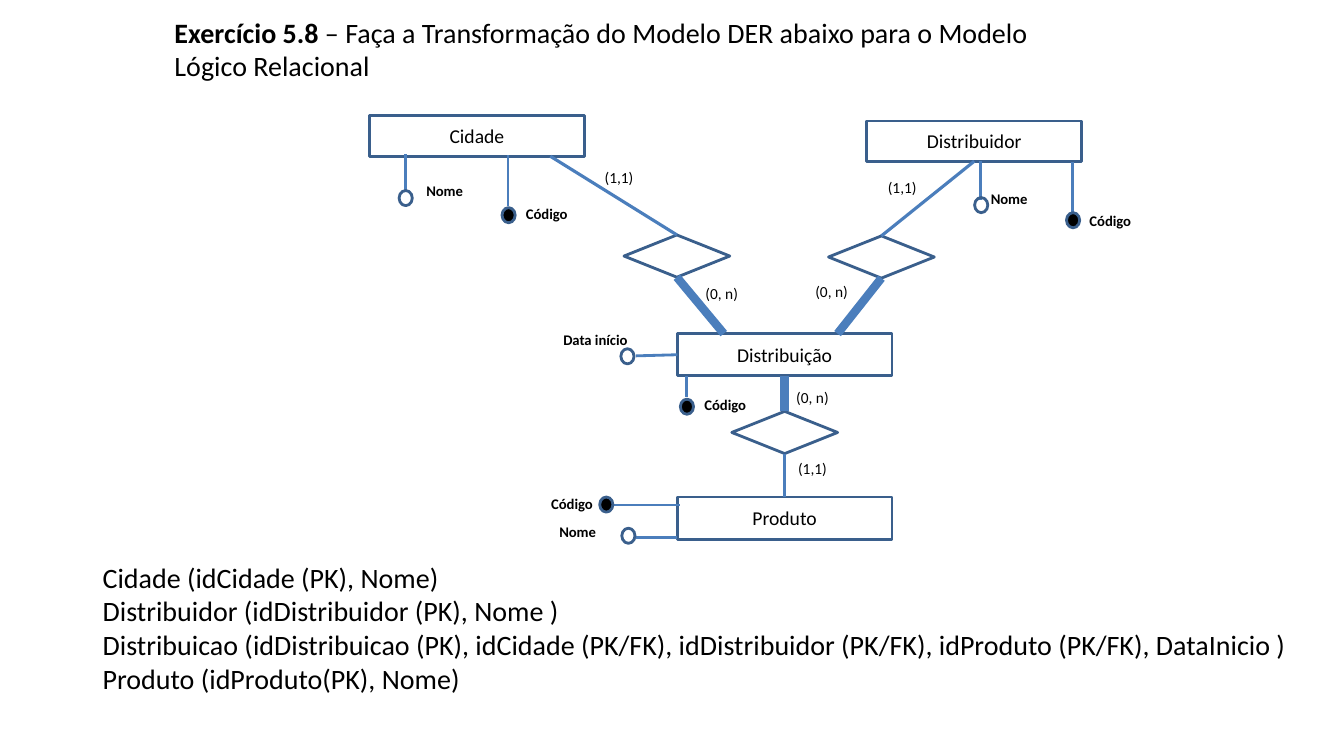
from collections import namedtuple
from pptx import Presentation
from pptx.dml.color import RGBColor
from pptx.enum.shapes import MSO_CONNECTOR as Connector, MSO_SHAPE as Shape
from pptx.enum.text import MSO_ANCHOR as Anchor, MSO_AUTO_SIZE as AutoSize, PP_ALIGN as Align
from pptx.oxml.ns import qn
from pptx.util import Pt
from lxml import etree

Box = namedtuple("Box", "left top width height")

BLACK = RGBColor(0x00, 0x00, 0x00)
WHITE = RGBColor(0xFF, 0xFF, 0xFF)
OUTLINE = RGBColor(0x3A, 0x5F, 0x8C)
LINK = RGBColor(0x4B, 0x7E, 0xBC)

ENTITIES = [
    ("Cidade", 0, 0.8, 28.8),
    ("Distribuidor", 355.2, 4.4, 28.8),
    ("Distribuição", 219.8, 156.3, 30.2),
    ("Produto", 219.8, 273, 30.2),
]
RELATIONSHIPS = [
    ("cidade_rel", 181.7, 85.8),
    ("distribuidor_rel", 327.8, 86.5),
    ("produto_rel", 258.7, 211.8),
]
LINKS = [
    ((129.1, 29.6), ("cidade_rel", 0), 2.25),
    (("Distribuidor", 2), ("distribuidor_rel", 0), 2.25),
    (("cidade_rel", 2), (253, 156.3), 6),
    (("distribuidor_rel", 2), (334.3, 156.3), 6),
    (("Distribuição", 2), ("produto_rel", 0), 6),
    (("Produto", 0), ("produto_rel", 2), 2.25),
]
CARDINALITIES = [
    ("(1,1)", 160.8, 34.6),
    ("(1,1)", 363.1, 41.8),
    ("(1,1)", 299, 242.7),
    ("(0, n)", 232.8, 117.4),
    ("(0, n)", 311.3, 116),
    ("(0, n)", 297.6, 191.6),
]
ATTRIBUTES = [
    ("Nome", (21.1, 54.1), (33.4, 44), (25.4, 55.5), (25.4, 28.2)),
    ("Código", (94.6, 66.3), (104.6, 60.6), (98.9, 64.9), (98.9, 28.9)),
    ("Nome", (432.2, 59.1), (436.6, 49.8), (436.6, 60.6), (436.6, 33.2)),
    ("Código", (497.8, 69.9), (507.1, 65.6), (502.1, 69.9), (502.1, 33.9)),
    ("Data início", (179.5, 167.1), (131.3, 150.6), (190.3, 172.2), ("Distribuição", 1)),
    ("Código", (222, 203.1), (232.1, 197.4), (226.3, 201.7), (226.3, 186.6)),
    ("Código", (164.4, 273), (122.6, 267.9), (173.8, 278.7), (222, 278.7)),
    ("Nome", (180.2, 295.3), (128.4, 288.1), (190.3, 301.8), (219.8, 301.8)),
]
LABEL_WIDTHS = {"Nome": 44.6, "Código": 49, "Data início": 67, "(1,1)": 40.3, "(0, n)": 43.9}
SCHEMA = [
    "Cidade (idCidade (PK), Nome)",
    "Distribuidor (idDistribuidor (PK), Nome )",
    "Distribuicao (idDistribuicao (PK), idCidade (PK/FK), idDistribuidor (PK/FK), "
    "idProduto (PK/FK), DataInicio )",
    "Produto (idProduto(PK), Nome)",
]


def style_font(font, size, bold=None):
    font.name = "Calibri"
    font.size = Pt(size)
    font.color.rgb = BLACK
    font.bold = bold


def add_text(page, box, lines, size, bold=None, wrap=True):
    frame = page.shapes.add_textbox(*map(Pt, box)).text_frame
    frame.word_wrap = wrap
    frame.text = "\n".join(lines)
    for para in frame.paragraphs:
        style_font(para.font, size, bold)


def add_node(page, kind, box, fill, text=""):
    node = page.shapes.add_shape(kind, *map(Pt, box))
    node.shadow.inherit = False
    node.line.color.rgb = OUTLINE
    node.line.width = Pt(2)
    if fill is None:
        node.fill.background()
    else:
        node.fill.solid()
        node.fill.fore_color.rgb = fill
    if text:
        node.text_frame.text = text
        node.text_frame.vertical_anchor = Anchor.MIDDLE
        para = node.text_frame.paragraphs[0]
        para.alignment = Align.CENTER
        style_font(para.font, 14)
    return node


def add_link(page, area, nodes, start, end, width):
    points = [
        (0, 0) if tip[0] in nodes else (Pt(area.left + tip[0]), Pt(area.top + tip[1]))
        for tip in (start, end)
    ]
    link = page.shapes.add_connector(Connector.STRAIGHT, *points[0], *points[1])
    if start[0] in nodes:
        link.begin_connect(nodes[start[0]], start[1])
    if end[0] in nodes:
        link.end_connect(nodes[end[0]], end[1])
    link.line.color.rgb = LINK
    link.line.width = Pt(width)
    etree.SubElement(link._element.spPr, qn("a:effectLst"))


def add_title(page, box):
    title = page.shapes.title
    title.left, title.top, title.width, title.height = map(Pt, box)
    frame = title.text_frame
    frame.word_wrap = True
    frame.auto_size = AutoSize.NONE
    frame.vertical_anchor = Anchor.MIDDLE
    para = frame.paragraphs[0]
    para.alignment = Align.LEFT
    style_font(para.font, 20)
    exercise = para.add_run()
    exercise.text = "Exercício 5.8"
    exercise.font.bold = True
    task = para.add_run()
    task.text = " – Faça a Transformação do Modelo DER abaixo para o Modelo Lógico Relacional"
    task.font.bold = False


def add_diagram(page, area):
    def place(left, top, width, height):
        return Box(area.left + left, area.top + top, width, height)

    nodes = {}
    for name, left, top, height in ENTITIES:
        nodes[name] = add_node(page, Shape.RECTANGLE, place(left, top, 153.4, height), WHITE, name)
    for name, left, top in RELATIONSHIPS:
        nodes[name] = add_node(page, Shape.FLOWCHART_DECISION, place(left, top, 75.6, 30.2), WHITE)
    for start, end, width in LINKS:
        add_link(page, area, nodes, start, end, width)
    for text, left, top in CARDINALITIES:
        add_text(page, place(left, top, LABEL_WIDTHS[text], 21.6), [text], 11)
    for name, circle, label, start, end in ATTRIBUTES:
        add_link(page, area, nodes, start, end, 2)
        fill = BLACK if name == "Código" else None
        add_node(page, Shape.FLOWCHART_CONNECTOR, place(*circle, 9.4, 10.8), fill)
        add_text(page, place(*label, LABEL_WIDTHS[name], 20.9), [name], 10.5, True, False)


def main():
    deck = Presentation()
    deck.slide_width, deck.slide_height = Pt(960), Pt(540)
    page = deck.slides.add_slide(deck.slide_layouts[5])
    add_title(page, Box(117.4, 3.6, 648, 62.6))
    add_diagram(page, Box(264, 82, 555, 310))
    add_text(page, Box(66.2, 396.7, 884.2, 128.2), SCHEMA, 20)
    deck.save("out.pptx")


if __name__ == "__main__":
    main()
